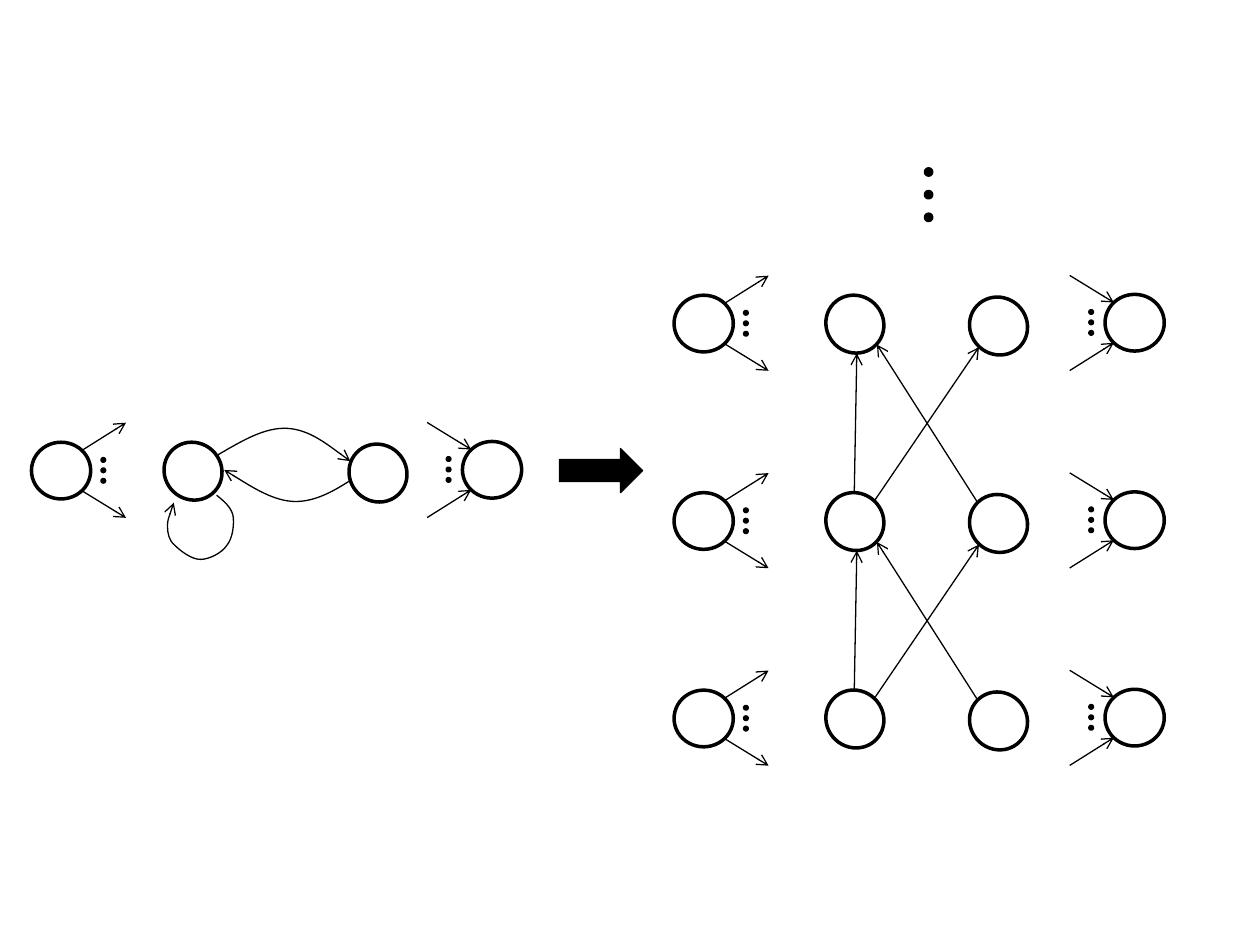
from dataclasses import dataclass
from itertools import product

from lxml.etree import SubElement
from pptx import Presentation
from pptx.dml.color import RGBColor
from pptx.enum.shapes import MSO_CONNECTOR, MSO_SHAPE
from pptx.oxml.ns import qn
from pptx.slide import Slide
from pptx.util import Inches, Pt

COLS, ROWS = 100, 75
NODE_W, NODE_H = 4.7, 4.5


def rgb(value):
    """Turn a hex string into a colour."""
    return RGBColor.from_string(value)


@dataclass
class Diagram:
    """Draws on one slide, with lengths in grid columns and rows."""
    prs: Presentation
    slide: Slide
    ink: str = "000000"
    thin: float = 0.75
    thick: float = 2
    tilt: float = 43.3

    def x(self, cols):
        """Convert columns to a length."""
        return round(self.prs.slide_width * cols / COLS)

    def y(self, rows):
        """Convert rows to a length."""
        return round(self.prs.slide_height * rows / ROWS)

    def outline(self, sp, width, arrow=False):
        """Set the line of an element and its optional arrowhead."""
        sp.line.color.rgb = rgb(self.ink)
        sp.line.width = Pt(width)
        if arrow:
            SubElement(sp.line._get_or_add_ln(), qn("a:tailEnd"), type="arrow")

    def shape(self, kind, x, y, w, h, width, filled=True, angle=0):
        """Add a preset shape."""
        sp = self.slide.shapes.add_shape(
            kind, self.x(x), self.y(y), self.x(w), self.y(h))
        sp.shadow.inherit = False
        sp.rotation = angle
        if filled:
            sp.fill.solid()
            sp.fill.fore_color.rgb = rgb(self.ink)
        else:
            sp.fill.background()
        self.outline(sp, width)

    def node(self, x, y, angle=0):
        """Add an open circle."""
        self.shape(MSO_SHAPE.OVAL, x, y, NODE_W, NODE_H, self.thick, False, angle)

    def dots(self, x, y, size, pitch):
        """Add a vertical ellipsis of three dots."""
        for i in range(3):
            self.shape(MSO_SHAPE.OVAL, x, y + i * pitch, size, size, self.thick)

    def arrow(self, x1, y1, x2, y2):
        """Add a straight arrow."""
        cx = self.slide.shapes.add_connector(
            MSO_CONNECTOR.STRAIGHT, self.x(x1), self.y(y1), self.x(x2), self.y(y2))
        self.outline(cx, self.thin, True)
        SubElement(cx._element.spPr, qn("a:effectLst"))

    def curve(self, *points):
        """Add a Bezier arrow from a start and triples of points."""
        pts = [(self.x(x), self.y(y)) for x, y in points]
        builder = self.slide.shapes.build_freeform(*pts[0])
        builder.add_line_segments(pts[1:], close=False)
        sp = builder.convert_to_shape()
        sp.shadow.inherit = False
        sp.fill.background()
        self.outline(sp, self.thin, True)
        geom = next(sp._element.iter(qn("a:path")))
        segments = geom.findall(qn("a:lnTo"))
        for i in range(0, len(segments), 3):
            bezier = SubElement(geom, qn("a:cubicBezTo"))
            for segment in segments[i:i + 3]:
                bezier.append(segment[0])
                geom.remove(segment)

    def source(self, x, y):
        """Add a node with arrows going out."""
        self.node(x, y)
        self.dots(x + 5.6, y + 1.3, 0.2, 0.83)
        self.arrow(x + 4, y + 0.65, x + 7.5, y - 1.55)
        self.arrow(x + 4, y + 3.85, x + 7.5, y + 6)

    def sink(self, x, y):
        """Add a node with arrows coming in."""
        self.node(x, y, 180)
        self.dots(x - 1.2, y + 1.3, 0.2, 0.83)
        self.arrow(x - 2.8, y + 6.05, x + 0.7, y + 3.85)
        self.arrow(x - 2.8, y - 1.5, x + 0.7, y + 0.65)

    def layer(self, y, xs):
        """Add a source, two inner nodes and a sink in one row."""
        first, left, right, last = xs
        self.source(first, y)
        self.node(left, y + 0.05, self.tilt)
        self.node(right, y + 0.2, self.tilt)
        self.sink(last, y - 0.07)


def main():
    """Build the slide."""
    prs = Presentation()
    prs.slide_width, prs.slide_height = Inches(10), Inches(7.5)
    d = Diagram(prs, prs.slides.add_slide(prs.slide_layouts[6]))

    d.layer(35.1, (2.5, 12.97, 27.65, 36.7))
    d.curve((17.3, 36.1), (19.2, 35), (21, 33.9), (22.8, 34),
            (24.6, 34.1), (27.8, 36.6), (27.8, 36.6))
    d.curve((27.7, 38.2), (26.3, 39.1), (24.8, 39.9), (23.2, 39.8),
            (21.5, 39.7), (17.8, 37.3), (17.8, 37.3))
    d.curve((17.2, 39.3), (17.8, 39.8), (18.3, 40.2), (18.5, 40.9),
            (18.6, 41.6), (18.5, 42.7), (18, 43.3),
            (17.6, 43.9), (16.6, 44.4), (15.9, 44.4),
            (15.2, 44.4), (14.3, 43.7), (13.9, 43.3),
            (13.4, 42.9), (13.3, 42.3), (13.3, 41.8),
            (13.3, 41.2), (13.8, 39.9), (13.8, 39.9))

    d.shape(MSO_SHAPE.RIGHT_ARROW, 44.4, 35.6, 6.6, 3.5, d.thin)

    tops = [54.77 - 15.67 * i for i in range(3)]
    for top in tops:
        d.layer(top, (53.5, 65.5, 76.9, 87.7))
    links = ((67.8, 0, 68, -11.05), (69.4, 0.65, 77.7, -11.55),
             (77.6, 0.8, 69.6, -11.75))
    for top, (x1, dy1, x2, dy2) in product(tops[:2], links):
        d.arrow(x1, top + dy1, x2, top + dy2)
    d.dots(73.45, 13.4, 0.5, 1.8)

    prs.save("out.pptx")


if __name__ == "__main__":
    main()
